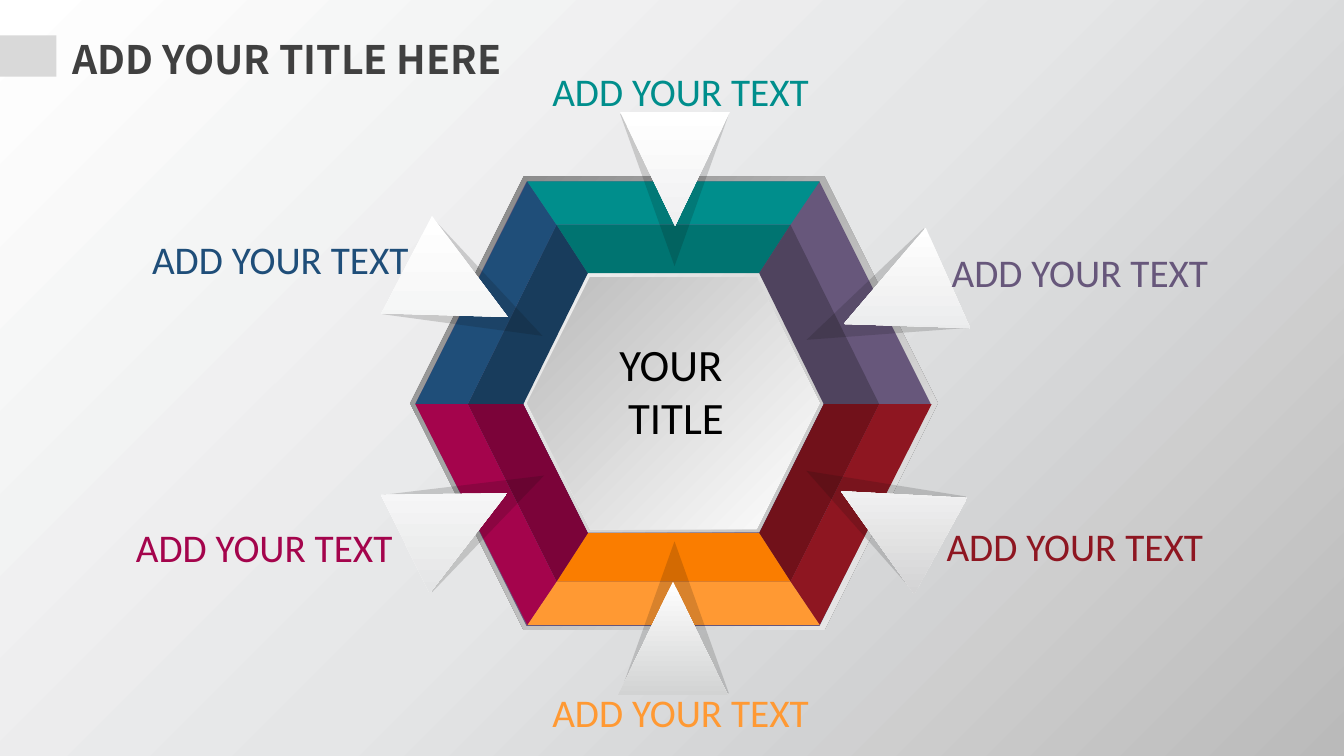
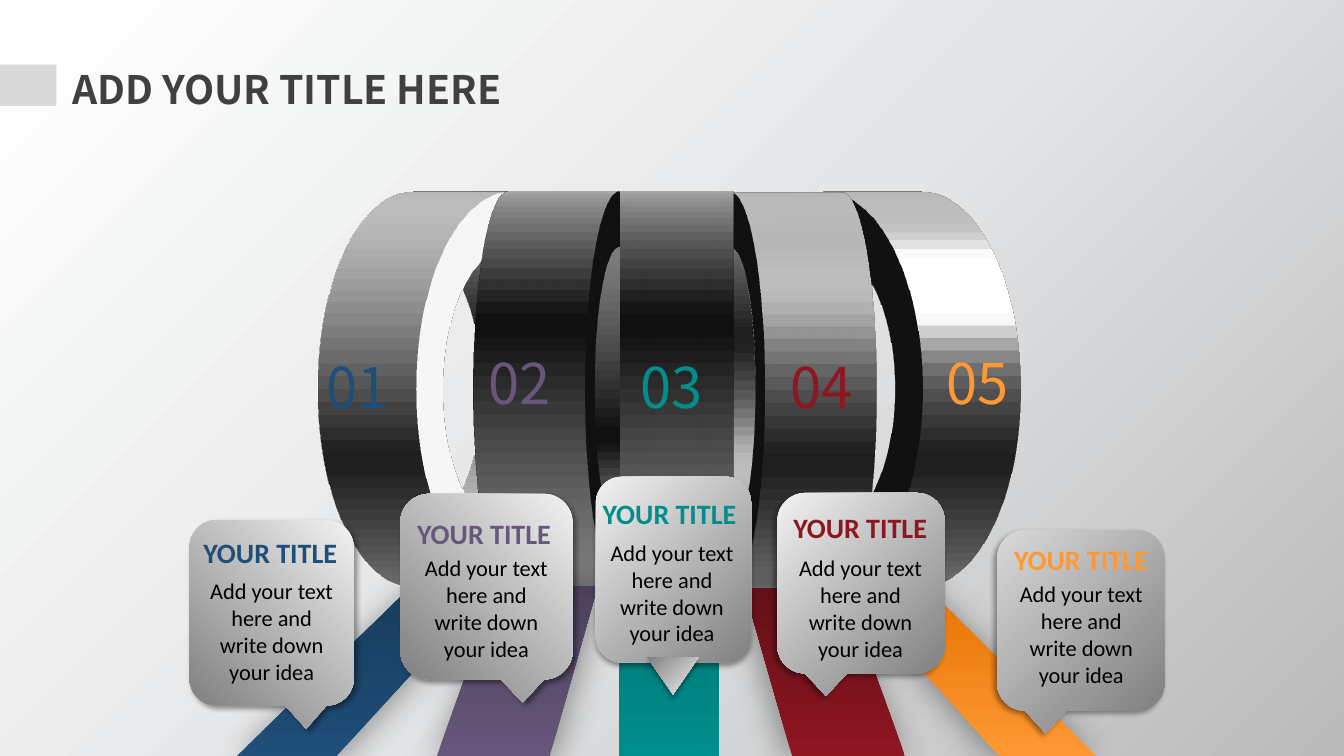
from dataclasses import dataclass

from lxml.etree import SubElement
from pptx import Presentation
from pptx.dml.color import RGBColor
from pptx.enum.shapes import MSO_SHAPE
from pptx.enum.text import MSO_ANCHOR, PP_ALIGN
from pptx.oxml.ns import qn
from pptx.util import Inches, Pt


@dataclass(frozen=True)
class Theme:
    navy: str = "1F4E79"
    deep_navy: str = "183C5C"
    plum: str = "67577B"
    teal: str = "008E8C"
    red: str = "8E1621"
    orange: str = "FF9933"
    magenta: str = "A4044C"
    heading: str = "404040"
    black: str = "000000"
    white: str = "FFFFFF"
    light: str = "F2F2F2"
    tab: str = "D9D9D9"
    silver: str = "BABABA"
    gray: str = "808080"
    heading_font: str = "Noto Sans CJK SC"
    body_font: str = "Calibri"
    heading_size: int = 28
    hub_size: int = 32
    number_size: int = 40
    card_title_size: int = 20
    card_body_size: int = 16


T = Theme()


def paint(shape, colours, angle=0, alpha=None, shadow=None, turns=True):
    shape.line.fill.background()
    shape.shadow.inherit = False
    shape.fill.solid()
    properties = shape._element.spPr
    solid = properties.find(qn("a:solidFill"))
    if isinstance(colours, str):
        shape.fill.fore_color.rgb = RGBColor.from_string(colours)
        if alpha:
            SubElement(solid[0], qn("a:alpha"), val=str(alpha * 1000))
    else:
        gradient = solid.makeelement(qn("a:gradFill"), rotWithShape=str(int(turns)))
        stops = SubElement(gradient, qn("a:gsLst"))
        for position, colour in colours:
            stop = SubElement(stops, qn("a:gs"), pos=str(position * 1000))
            SubElement(stop, qn("a:srgbClr"), val=colour)
        SubElement(gradient, qn("a:lin"), ang=str(angle * 60000), scaled="0")
        properties.replace(solid, gradient)
    if shadow:
        blur, direction = shadow
        outer = SubElement(properties.find(qn("a:effectLst")), qn("a:outerShdw"),
                           blurRad=str(Pt(blur)), dist=str(Pt(3)),
                           dir=str(direction * 60000), algn="ctr", rotWithShape="0")
        tint = SubElement(outer, qn("a:srgbClr"), val=T.black)
        SubElement(tint, qn("a:alpha"), val="40000")


def write(slide, box, lines, size, colour, font=T.body_font, bold=False, align=PP_ALIGN.LEFT):
    frame = slide.shapes.add_textbox(*map(Inches, box)).text_frame
    frame.word_wrap = True
    frame.vertical_anchor = MSO_ANCHOR.MIDDLE
    frame.text = lines
    for paragraph in frame.paragraphs:
        paragraph.alignment = align
        paragraph.font.size = Pt(size)
        paragraph.font.name = font
        paragraph.font.bold = bold
        paragraph.font.color.rgb = RGBColor.from_string(colour)


prs = Presentation()
prs.slide_width = Inches(13.33)
prs.slide_height = Inches(7.5)

backdrop = prs.slide_master.background.fill
backdrop.solid()
backdrop_properties = prs.slide_master.element.find(".//" + qn("p:bgPr"))
backdrop_gradient = backdrop_properties.makeelement(qn("a:gradFill"), rotWithShape="1")
backdrop_stops = SubElement(backdrop_gradient, qn("a:gsLst"))
for position, colour in [(0, T.white), (51, "E5E6E7"), (100, T.silver)]:
    stop = SubElement(backdrop_stops, qn("a:gs"), pos=str(position * 1000))
    SubElement(stop, qn("a:srgbClr"), val=colour)
SubElement(backdrop_gradient, qn("a:lin"), ang=str(45 * 60000), scaled="0")
backdrop_properties.replace(backdrop_properties[0], backdrop_gradient)

slides = []
for heading_top, tab_top in [(0.3, 0.35), (0.6, 0.64)]:
    slide = prs.slides.add_slide(prs.slide_layouts[6])
    tab = slide.shapes.add_shape(MSO_SHAPE.RECTANGLE, *map(Inches, (0, tab_top, 0.56, 0.41)))
    paint(tab, T.tab)
    write(slide, (0.62, heading_top, 4.86, 0.57), "ADD YOUR TITLE HERE",
          T.heading_size, T.heading, T.heading_font, bold=True)
    slides.append(slide)
hexagon_slide, rings_slide = slides

plates = [
    ((4.07, 1.75, 5.23, 4.5), [(0, T.gray), (100, T.light)], 45),
    ((4.12, 1.8, 5.11, 4.41), T.plum, 0),
    ((5.19, 2.71, 2.98, 2.57), [(0, "BFBFBF"), (100, T.light)], 225),
    ((5.23, 2.75, 2.9, 2.5), [(0, T.white), (100, T.silver)], 225),
]
for box, colours, angle in plates:
    plate = hexagon_slide.shapes.add_shape(MSO_SHAPE.HEXAGON, *map(Inches, box))
    paint(plate, colours, angle)

outer, middle, inner = [
    [(6.68 + dx, 4 + dy) for dx, dy in
     [(-wide, 0.01), (-top, -tall), (top, -tall), (wide, 0.01), (top, tall), (-top, tall)]]
    for wide, top, tall in [(2.56, 1.45, 2.2), (2.04, 1.16, 1.77), (1.49, 0.85, 1.29)]
]
bevels = [
    (T.deep_navy, T.navy), ("007471", T.teal), ("4F435E",),
    ("71111A", T.red), ("FA7D00", T.orange), ("7B0339", T.magenta),
]
for side, shades in enumerate(bevels):
    following = (side + 1) % len(bevels)
    for far, near, shade in zip((middle, outer), (inner, middle), shades):
        corners = [far[side], far[following], near[following], near[side]]
        points = [(Inches(x), Inches(y)) for x, y in corners]
        builder = hexagon_slide.shapes.build_freeform(*points[0])
        builder.add_line_segments(points[1:])
        paint(builder.convert_to_shape(), shade)

pointers = [
    (0, (6.15, 5.37), (6.13, 5.77), "D2D3D3"),
    (180, (6.15, 1.13), (6.15, 1.11), "F0F0F1"),
    (298.8, (8.12, 4.28), (8.29, 4.58), "D3D3D4"),
    (246.1, (8.15, 2.31), (8.34, 2.42), "E2E3E4"),
    (63.5, (4.18, 4.3), (3.98, 4.58), "E4E5E6"),
    (117.4, (4.17, 2.23), (3.99, 2.32), "F0F1F1"),
]
for rotation, shade_place, arrow_place, end in pointers:
    for place, size, colours, alpha in [
        (shade_place, (1.08, 1.51), "0D0D0D", 16),
        (arrow_place, (1.09, 1.13), [(0, T.white), (100, end)], None),
    ]:
        pointer = hexagon_slide.shapes.add_shape(MSO_SHAPE.ISOSCELES_TRIANGLE,
                                                 *map(Inches, place + size))
        pointer.rotation = rotation
        paint(pointer, colours, 90, alpha, turns=False)

for left, top, colour in [
    (1.41, 2.28, T.navy), (1.25, 5.14, T.magenta), (5.38, 0.62, T.teal),
    (5.38, 6.78, T.orange), (9.29, 5.13, T.red), (9.34, 2.41, T.plum),
]:
    write(hexagon_slide, (left, top, 2.88, 0.57), "ADD YOUR TEXT", T.heading_size, colour)
write(hexagon_slide, (6.03, 3.28, 1.35, 1.18), "YOUR \nTITLE", T.hub_size, T.black,
      align=PP_ALIGN.CENTER)

for left, top, longitude in [
    (3.12, 1.9, 299), (7.18, 1.9, 240), (3.08, 1.9, 100), (6.39, 1.91, 260), (4.19, 1.9, 90),
]:
    ring = rings_slide.shapes.add_shape(MSO_SHAPE.DONUT, *map(Inches, (left, top, 3.92, 3.92)))
    ring.adjustments[0] = 0.14
    paint(ring, T.light)
    scene = SubElement(ring._element.spPr, qn("a:scene3d"))
    camera = SubElement(scene, qn("a:camera"), prst="orthographicFront")
    SubElement(camera, qn("a:rot"), lat="0", lon=str(longitude * 60000), rev="0")
    SubElement(scene, qn("a:lightRig"), rig="threePt", dir="t")
    SubElement(ring._element.spPr, qn("a:sp3d"), extrusionH=str(Inches(1.12)),
               prstMaterial="metal")

for left, top, number, colour in [
    (6.25, 3.43, "03", T.teal), (4.75, 3.39, "02", T.plum), (7.74, 3.43, "04", T.red),
    (9.29, 3.39, "05", T.orange), (3.14, 3.43, "01", T.navy),
]:
    write(rings_slide, (left, top, 0.95, 0.8), number, T.number_size, colour, T.heading_font)

stem = rings_slide.shapes.add_shape(MSO_SHAPE.RECTANGLE, *map(Inches, (6.14, 5.81, 0.99, 1.69)))
paint(stem, [(0, T.teal), (100, "007673")], 270)
for top, left, right, foot_left, foot_right, colour, dark, direction in [
    (5.83, 7.38, 8.37, 7.86, 8.98, T.red, "641018", 180),
    (5.81, 4.94, 5.93, 4.33, 5.45, T.plum, "4C405A", 45),
    (5.81, 8.39, 9.17, 9.92, 10.88, T.orange, "E47302", 180),
    (5.81, 4.09, 4.88, 2.34, 3.33, T.navy, T.deep_navy, 45),
]:
    corners = [(left, top), (right, top), (foot_right, 7.51), (foot_left, 7.51)]
    points = [(Inches(x), Inches(y)) for x, y in corners]
    builder = rings_slide.shapes.build_freeform(*points[0])
    builder.add_line_segments(points[1:])
    paint(builder.convert_to_shape(), [(0, colour), (100, dark)], 270, shadow=(25, direction))

sheen = [(0, T.light), (100, T.gray)]
dim_sheen = [(0, T.tab), (100, T.gray)]
callout = MSO_SHAPE.ROUNDED_RECTANGULAR_CALLOUT
cards = [
    (T.orange, callout, (9.89, 5.26, 1.66, 1.79), dim_sheen, -0.21, 135,
     (9.96, 5.33), (10.01, 5.7)),
    (T.red, callout, (7.71, 4.89, 1.66, 1.79), sheen, -0.21, 135, (7.77, 5.01), (7.82, 5.44)),
    (T.plum, callout, (3.97, 4.9, 1.71, 1.84), sheen, 0.21, 45, (4.04, 5.07), (4.11, 5.44)),
    (T.navy, callout, (1.88, 5.16, 1.63, 1.84), sheen, 0.21, 45, (1.92, 5.26), (1.98, 5.67)),
    (T.teal, MSO_SHAPE.ROUNDED_RECTANGLE, (5.91, 4.73, 1.54, 1.84), sheen, None, 90,
     (5.88, 4.87), (5.95, 5.29)),
]
for colour, outline, box, colours, tail, shadow_angle, title_place, body_place in cards:
    card = rings_slide.shapes.add_shape(outline, *map(Inches, box))
    if tail:
        card.adjustments[0] = tail
    paint(card, colours, 135 if tail and tail > 0 else 45, shadow=(4, shadow_angle))
    if not tail:
        notch = rings_slide.shapes.add_shape(
            MSO_SHAPE.ISOSCELES_TRIANGLE, *map(Inches, (6.42, 6.52, 0.51, 0.37)))
        notch.rotation = 180
        paint(notch, colours, 45, shadow=(4, shadow_angle))
    write(rings_slide, title_place + (1.66, 0.44), "YOUR TITLE", T.card_title_size, colour,
          bold=True)
    write(rings_slide, body_place + (1.43, 1.18), "Add your text here and write down your idea",
          T.card_body_size, T.black, align=PP_ALIGN.CENTER)

prs.save("out.pptx")
